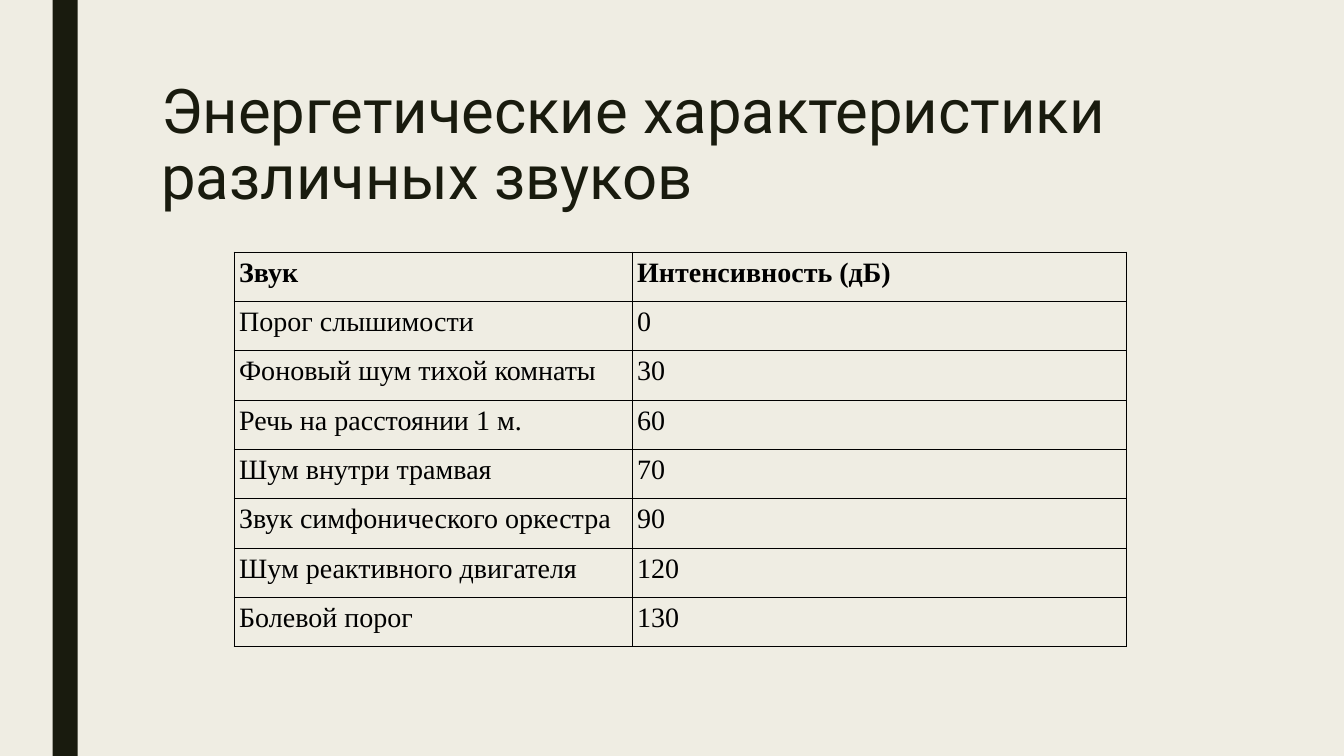
from dataclasses import dataclass

from lxml.etree import SubElement
from pptx import Presentation
from pptx.dml.color import RGBColor
from pptx.enum.shapes import MSO_SHAPE as Shape
from pptx.enum.text import MSO_ANCHOR as Anchor, MSO_AUTO_SIZE as AutoSize, PP_ALIGN as Align
from pptx.oxml.ns import qn
from pptx.slide import Slide
from pptx.table import _Cell as Cell
from pptx.util import Pt


@dataclass(frozen=True)
class Theme:
    """Colours, fonts and type sizes of the slide."""
    paper: str = "EFEDE3"
    ink: str = "191B0E"
    black: str = "000000"
    title_font: str = "Roboto"
    table_font: str = "Times New Roman"
    title_size: float = 44
    table_size: float = 20
    border: float = 0.75


@dataclass(frozen=True)
class Box:
    """A place on the slide, in points."""
    left: float
    top: float
    width: float
    height: float


@dataclass(frozen=True)
class Sound:
    """One table row: a sound and its intensity."""
    name: str
    intensity: str


THEME = Theme()
WIDTH, HEIGHT = 960, 540
BAR = Box(37.5, 0, 18, HEIGHT)
TITLE = Box(108, 54, 756, 116.64)
TABLE = Box(167.2, 180, 637.2, 282)
COLUMNS = (284.4, 352.8)
CELL_INSET = 3.6
HEADING = "Энергетические характеристики различных звуков"
SOUNDS = (
    Sound("Звук", "Интенсивность (дБ)"),
    Sound("Порог слышимости", "0"),
    Sound("Фоновый шум тихой комнаты", "30"),
    Sound("Речь на расстоянии 1 м.", "60"),
    Sound("Шум внутри трамвая", "70"),
    Sound("Звук симфонического оркестра", "90"),
    Sound("Шум реактивного двигателя", "120"),
    Sound("Болевой порог", "130"),
)


def rgb(color: str) -> RGBColor:
    """Turn a hex string into a colour."""
    return RGBColor.from_string(color)


def place(box: Box) -> tuple[Pt, Pt, Pt, Pt]:
    """Give a box as lengths."""
    return Pt(box.left), Pt(box.top), Pt(box.width), Pt(box.height)


def add_bar(s: Slide) -> None:
    """Draw the dark bar at the left."""
    sp = s.shapes.add_shape(Shape.RECTANGLE, *place(BAR))
    sp.shadow.inherit = False
    sp.fill.solid()
    sp.fill.fore_color.rgb = rgb(THEME.ink)
    sp.line.fill.background()


def set_title(s: Slide) -> None:
    """Move, fill and format the title placeholder."""
    sp = s.shapes.title
    sp.left, sp.top, sp.width, sp.height = place(TITLE)
    tf = sp.text_frame
    tf.text = HEADING
    tf.word_wrap = True
    tf.auto_size = AutoSize.NONE
    tf.vertical_anchor = Anchor.TOP
    p = tf.paragraphs[0]
    p.alignment = Align.LEFT
    p.line_spacing = 0.89
    p.font.name = THEME.title_font
    p.font.size = Pt(THEME.title_size)
    p.font.color.rgb = rgb(THEME.ink)


def add_borders(cell: Cell) -> None:
    """Rule all four sides of a cell."""
    props = cell._tc.get_or_add_tcPr()
    for i, side in enumerate(("lnL", "lnR", "lnT", "lnB")):
        line = props.makeelement(qn(f"a:{side}"), {"w": str(Pt(THEME.border))})
        fill = SubElement(line, qn("a:solidFill"))
        SubElement(fill, qn("a:srgbClr"), val=THEME.black)
        props.insert(i, line)


def set_cell(cell: Cell, text: str, bold: bool) -> None:
    """Fill and format one table cell."""
    cell.text = text
    cell.fill.background()
    cell.margin_left = cell.margin_right = Pt(CELL_INSET)
    cell.margin_top = cell.margin_bottom = Pt(CELL_INSET)
    font = cell.text_frame.paragraphs[0].font
    font.name = THEME.table_font
    font.size = Pt(THEME.table_size)
    font.bold = bold
    font.color.rgb = rgb(THEME.black)
    add_borders(cell)


def add_sounds(s: Slide) -> None:
    """Draw the table of sounds, its first row as the header."""
    table = s.shapes.add_table(len(SOUNDS), len(COLUMNS), *place(TABLE)).table
    table.horz_banding = False
    for column, width in zip(table.columns, COLUMNS):
        column.width = Pt(width)
    for i, sound in enumerate(SOUNDS):
        table.rows[i].height = Pt(TABLE.height / len(SOUNDS))
        for j, text in enumerate((sound.name, sound.intensity)):
            set_cell(table.cell(i, j), text, bold=i == 0)


def main() -> None:
    """Build and save the slide."""
    prs = Presentation()
    prs.slide_width, prs.slide_height = Pt(WIDTH), Pt(HEIGHT)
    s = prs.slides.add_slide(prs.slide_layouts.get_by_name("Title Only"))
    s.background.fill.solid()
    s.background.fill.fore_color.rgb = rgb(THEME.paper)
    add_bar(s)
    set_title(s)
    add_sounds(s)
    prs.save("out.pptx")


main()
